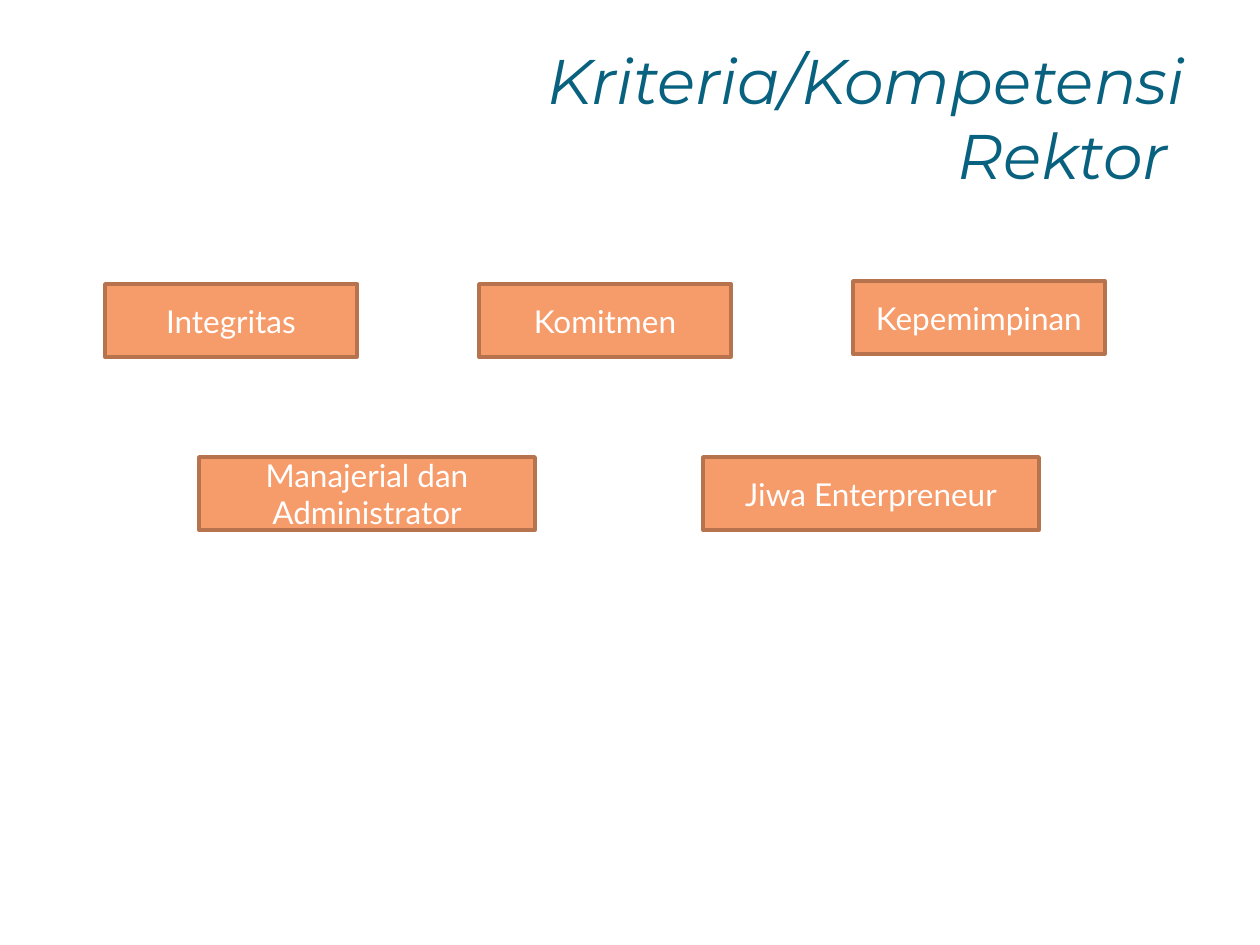
from pptx import Presentation
from pptx.dml.color import RGBColor
from pptx.enum.shapes import MSO_SHAPE
from pptx.enum.text import MSO_ANCHOR, PP_ALIGN
from pptx.util import Inches, Pt

RECT = MSO_SHAPE.RECTANGLE
MIDDLE = MSO_ANCHOR.MIDDLE
CENTER, RIGHT = PP_ALIGN.CENTER, PP_ALIGN.RIGHT
COLORS = {"title": "08617E", "fill": "F69B6A", "line": "B6734E", "text": "FFFFFF"}


def px(n):
    return round(n * Inches(1) / 126)


def color(name):
    return RGBColor.from_string(COLORS[name])


def write(shape, text, face, size, tint, align):
    frame = shape.text_frame
    frame.word_wrap = True
    frame.vertical_anchor = MIDDLE
    para = frame.paragraphs[0]
    para.text = text
    para.alignment = align
    font = para.font
    font.name, font.size = face, Pt(size)
    font.color.rgb = color(tint)
    return font


def add_title(slide, box, text):
    title = slide.shapes.title
    title.left, title.top, title.width, title.height = map(px, box)
    write(title, text, "Montserrat", 36, "title", RIGHT).italic = True


def add_row(slide, box, step, items):
    """Place equal cards a fixed step apart; each item is (label, rise)."""
    left, top, width, height = box
    for i, (label, rise) in enumerate(items):
        place = (left + i * step, top - rise, width, height)
        card = slide.shapes.add_shape(RECT, *map(px, place))
        card.shadow.inherit = False
        card.fill.solid()
        card.fill.fore_color.rgb = color("fill")
        card.line.color.rgb = color("line")
        card.line.width = Pt(2)
        write(card, label, "Lato", 18, "text", CENTER)


def main():
    deck = Presentation()
    deck.slide_width, deck.slide_height = px(1260), px(945)
    slide = deck.slides.add_slide(deck.slide_layouts[5])

    # Heading
    add_title(slide, (357, 38, 840, 158), "Kriteria/Kompetensi Rektor ")

    # Criteria, three above two; the last of the first row sits a little higher
    add_row(slide, (105, 284, 252, 73), 374,
            [("Integritas", 0), ("Komitmen", 0), ("Kepemimpinan", 3)])
    add_row(slide, (199, 457, 336, 73), 504,
            [("Manajerial dan Administrator", 0), ("Jiwa Enterpreneur", 0)])

    deck.save("out.pptx")


if __name__ == "__main__":
    main()
